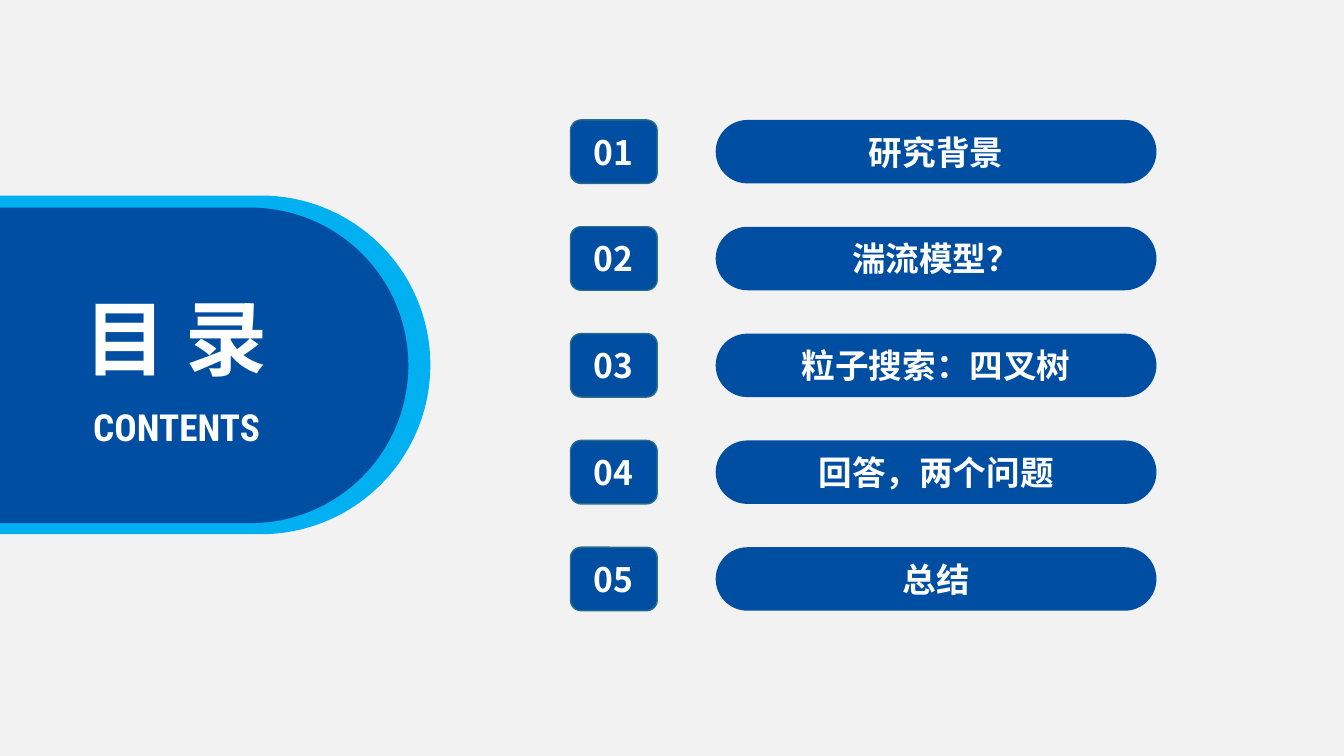
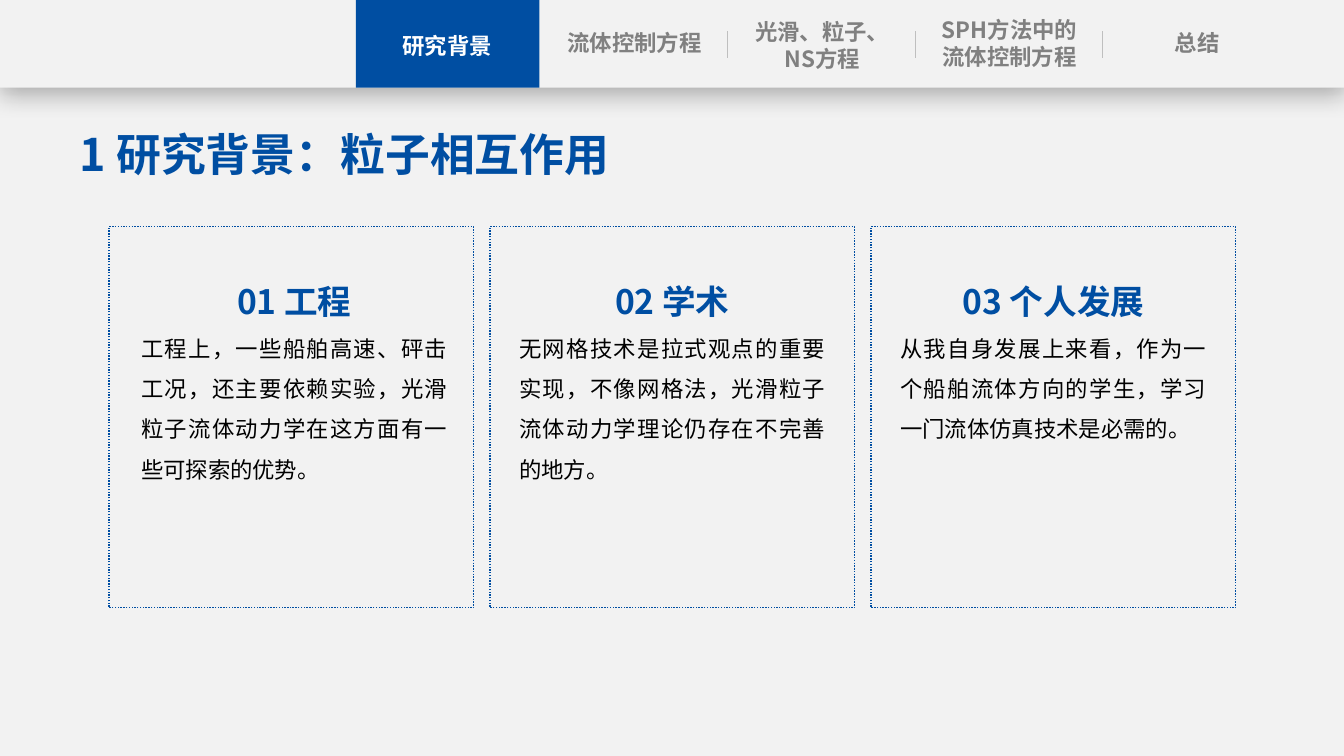
from lxml.etree import SubElement
from pptx import Presentation
from pptx.dml.color import RGBColor
from pptx.enum.dml import MSO_LINE
from pptx.enum.shapes import MSO_CONNECTOR, MSO_SHAPE
from pptx.enum.text import MSO_ANCHOR as Anchor, PP_ALIGN as Align
from pptx.oxml.ns import qn
from pptx.util import Inches, Pt

COLORS = {
    "background": "F2F2F2",
    "blue": "004EA2",
    "sky": "00B0F0",
    "teal": "266D8A",
    "white": "FFFFFF",
    "gray": "808080",
    "divider": "BFBFBF",
    "black": "000000",
}
FONT = "Noto Sans CJK SC"
LABEL_FONT = "Roboto Condensed"

presentation = Presentation()
presentation.slide_width = Inches(13.33)
presentation.slide_height = Inches(7.5)
COLUMN = presentation.slide_width / 100
ROW = presentation.slide_height / 100
blank = presentation.slide_layouts[6]

master_fill = presentation.slide_master.background.fill
master_fill.solid()
master_fill.fore_color.rgb = RGBColor.from_string(COLORS["background"])


def add_box(slide, kind, left, top, width, height, fill=None, line=None, radius=None):
    shape = slide.shapes.add_shape(
        kind, int(left * COLUMN), int(top * ROW), int(width * COLUMN), int(height * ROW)
    )
    shape.shadow.inherit = False
    if fill:
        shape.fill.solid()
        shape.fill.fore_color.rgb = RGBColor.from_string(COLORS[fill])
    else:
        shape.fill.background()
    if line:
        shape.line.color.rgb = RGBColor.from_string(COLORS[line])
        shape.line.width = Pt(1)
    else:
        shape.line.fill.background()
    if radius is not None:
        shape.adjustments[0] = radius
    return shape


def add_paragraph(shape, text, size, color, bold=True, align=Align.CENTER,
                  font=FONT, spacing=None, inset=0.05, anchor=Anchor.TOP):
    frame = shape.text_frame
    frame.word_wrap = True
    frame.vertical_anchor = anchor
    frame.margin_left = frame.margin_right = 0
    frame.margin_top = frame.margin_bottom = Inches(inset)
    paragraph = frame.paragraphs[0]
    if paragraph.runs:
        paragraph = frame.add_paragraph()
    paragraph.alignment = align
    paragraph.line_spacing = spacing
    run = paragraph.add_run()
    run.text = text
    run.font.size = Pt(size)
    run.font.bold = bold
    run.font.color.rgb = RGBColor.from_string(COLORS[color])
    run.font.name = font
    SubElement(run._r.get_or_add_rPr(), qn("a:ea"), typeface=font)


contents = presentation.slides.add_slide(blank)
for left, top, width, height, fill in [
    (-14.33, 25.87, 46.35, 44.8, "sky"),
    (-12.75, 27.47, 43.13, 41.73, "blue"),
]:
    add_box(contents, MSO_SHAPE.ROUNDED_RECTANGLE, left, top, width, height, fill, radius=0.5)

for text, left, top, width, height, size, font in [
    ("目 录", 5.25, 37.33, 15.7, 14.53, 58.6, FONT),
    ("CONTENTS", 4.65, 52.8, 17, 7.33, 26.6, LABEL_FONT),
]:
    heading = contents.shapes.add_textbox(
        int(left * COLUMN), int(top * ROW), int(width * COLUMN), int(height * ROW)
    )
    add_paragraph(heading, text, size, "white", font=font)

topics = ["研究背景", "湍流模型？", "粒子搜索：四叉树", "回答，两个问题", "总结"]
for index, topic in enumerate(topics):
    top = 15.87 + index * 14.13
    badge = add_box(contents, MSO_SHAPE.ROUNDED_RECTANGLE, 42.45, top, 6.45, 8.4, "blue", "teal")
    pill = add_box(contents, MSO_SHAPE.ROUNDED_RECTANGLE, 53.25, top, 32.8, 8.4, "blue", radius=0.5)
    add_paragraph(badge, f"{index + 1:02}", 24, "white", anchor=Anchor.MIDDLE)
    add_paragraph(pill, topic, 24, "white", anchor=Anchor.MIDDLE)


background = presentation.slides.add_slide(blank)
band = add_box(background, MSO_SHAPE.RECTANGLE, 0, 0, 100, 11.6, "background")
effects = band._element.spPr.find(qn("a:effectLst"))
shadow = SubElement(effects, qn("a:outerShdw"), blurRad=str(Pt(18)), dist=str(Pt(4)),
                    dir="5400000", algn="t", rotWithShape="0")
shadow_color = SubElement(shadow, qn("a:srgbClr"), val=COLORS["black"])
SubElement(shadow_color, qn("a:alpha"), val="29000")
add_box(background, MSO_SHAPE.RECTANGLE, 26.48, 0, 13.65, 11.6, "blue")

TAB_PITCH = 13.95
tabs = [
    ("研究背景", 3.6, "white"),
    ("流体控制方程", 3.2, "gray"),
    ("光滑、粒子、NS方程", 1.73, "gray"),
    ("SPH方法中的流体控制方程", 1.47, "gray"),
    ("总结", 3.2, "gray"),
]
for index, (text, top, color) in enumerate(tabs):
    tab = background.shapes.add_textbox(
        int((27.75 + index * TAB_PITCH) * COLUMN), int(top * ROW), int(11.03 * COLUMN), int(8.5 * ROW)
    )
    add_paragraph(tab, text, 16, color)

for index in range(3):
    x = int((54.15 + index * TAB_PITCH) * COLUMN)
    divider = background.shapes.add_connector(
        MSO_CONNECTOR.STRAIGHT, x, int(4.13 * ROW), x, int(7.73 * ROW)
    )
    divider.line.color.rgb = RGBColor.from_string(COLORS["divider"])
    divider.line.width = Pt(0.5)
    SubElement(divider._element.spPr, qn("a:effectLst"))

title = background.shapes.add_textbox(
    int(5.93 * COLUMN), int(16.13 * ROW), int(41.63 * COLUMN), int(8.53 * ROW)
)
add_paragraph(title, "1 研究背景：粒子相互作用", 32, "blue", align=Align.LEFT)

cards = [
    ("01 工程", "工程上，一些船舶高速、砰击工况，还主要依赖实验，光滑粒子流体动力学在这方面有一些可探索的优势。", 2.4),
    ("02 学术", "无网格技术是拉式观点的重要实现，不像网格法，光滑粒子流体动力学理论仍存在不完善的地方。", 2.18),
    ("03 个人发展", "从我自身发展上来看，作为一个船舶流体方向的学生，学习一门流体仿真技术是必需的。", 2.18),
]
for index, (heading, text, indent) in enumerate(cards):
    left = 8.1 + index * 28.35
    frame = add_box(background, MSO_SHAPE.RECTANGLE, left, 30, 27.15, 50.4, line="blue")
    frame.line.dash_style = MSO_LINE.ROUND_DOT
    body = background.shapes.add_textbox(
        int((left + indent) * COLUMN), int(34.53 * ROW), int(22.8 * COLUMN), int(29.6 * ROW)
    )
    add_paragraph(body, heading, 24, "blue", spacing=1.5, inset=0)
    add_paragraph(body, text, 16, "black", bold=False, align=Align.JUSTIFY, spacing=1.5, inset=0)

presentation.save("out.pptx")
